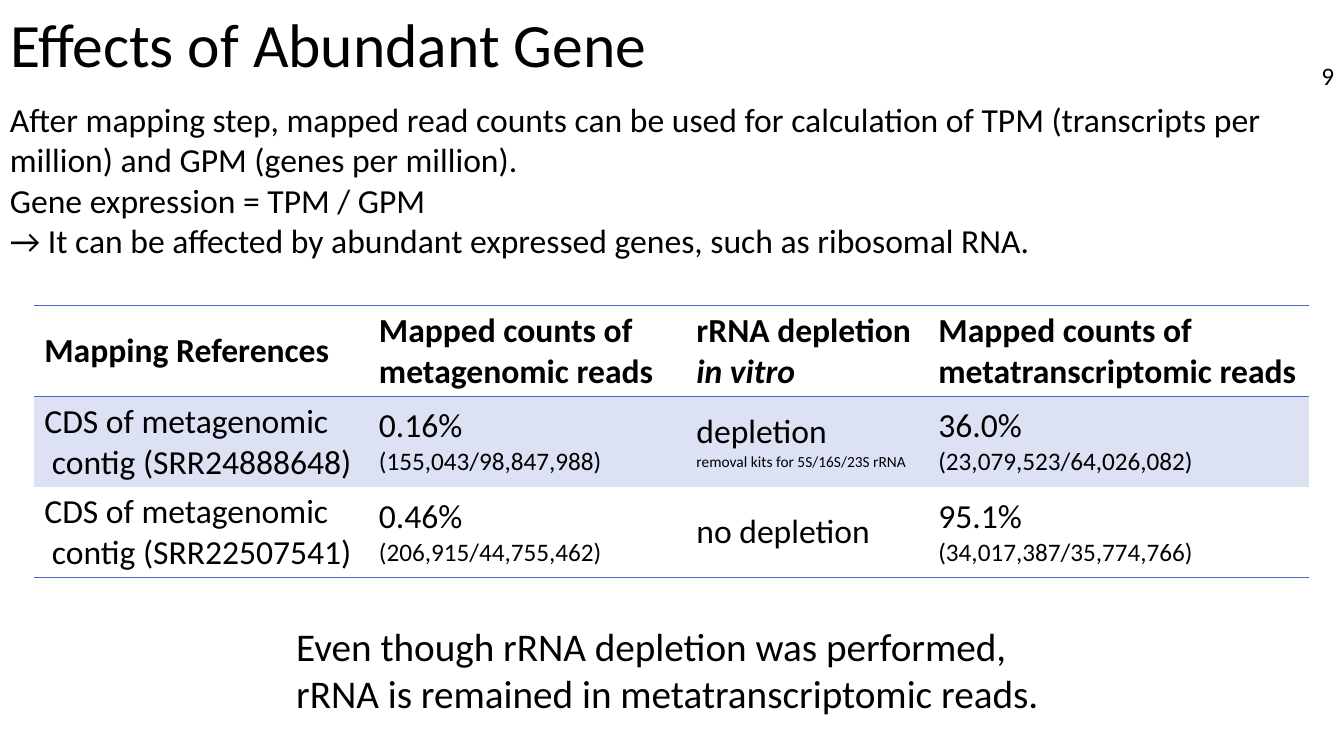
from pptx import Presentation, util as u
from pptx.dml import color
from pptx.enum import text
from pptx.oxml import ns, parse_xml

theme = dict(font="Calibri", ink="000000", rule="4E67C8", band="DCE1F4",
             title=44, close=28, body=24, note=18, tiny=11)

title = "Effects of Abundant Gene"
page = "9"
intro = [
    "After mapping step, mapped read counts can be used for calculation of TPM "
    "(transcripts per million) and GPM (genes per million).",
    "Gene expression = TPM / GPM",
    "→ It can be affected by abundant expressed genes, such as ribosomal RNA.",
]
close = ["Even though rRNA depletion was performed,",
         "rRNA is remained in metatranscriptomic reads."]
head = [["Mapping References"], ["Mapped counts of metagenomic reads"],
        ["rRNA depletion", "in vitro"], ["Mapped counts of metatranscriptomic reads"]]
rows = [
    [["CDS of metagenomic", "contig (SRR24888648)"], ["0.16%", "(155,043/98,847,988)"],
     ["depletion", "removal kits for 5S/16S/23S rRNA"], ["36.0%", "(23,079,523/64,026,082)"]],
    [["CDS of metagenomic", "contig (SRR22507541)"], ["0.46%", "(206,915/44,755,462)"],
     ["no depletion"], ["95.1%", "(34,017,387/35,774,766)"]],
]
widths = [239, 226.8, 172.8, 272.2]
seconds = ["body", "note", "tiny", "note"]
high = 64.8
wide, tall = 960, 540


def rgb(code):
    return color.RGBColor.from_string(code)


def write(frame, lines, sizes, anchor, align=text.PP_ALIGN.LEFT, bold=False):
    frame.word_wrap = True
    frame.vertical_anchor = anchor
    for i, line in enumerate(lines):
        para = frame.paragraphs[0] if i == 0 else frame.add_paragraph()
        para.alignment = align
        run = para.add_run()
        run.text = line
        look = dict(name=theme["font"], size=u.Pt(theme[sizes[min(i, len(sizes) - 1)]]),
                    bold=bold)
        for key, val in look.items():
            setattr(run.font, key, val)
        run.font.color.rgb = rgb(theme["ink"])


def place(shape, box):
    for key, val in zip(("left", "top", "width", "height"), box):
        setattr(shape, key, u.Pt(val))


def edge(cell, side):
    line = parse_xml(
        f'<a:{side} {ns.nsdecls("a")} w="{u.Pt(1)}"><a:solidFill>'
        f'<a:srgbClr val="{theme["rule"]}"/></a:solidFill></a:{side}>')
    cell._tc.get_or_add_tcPr().insert(0, line)


def grid(slide):
    data = [head] + rows
    box = [u.Pt(n) for n in (24.5, 218.2, sum(widths), high * len(data))]
    shape = slide.shapes.add_table(len(data), len(widths), *box)
    table = shape.table
    table.first_row = table.horz_banding = False
    for tag in shape._element.iter(ns.qn("a:tableStyleId")):
        tag.text = "{2D5ABB26-0587-4C30-8999-92F81FD0307C}"
    for col, width in zip(table.columns, widths):
        col.width = u.Pt(width)
    for r, row in enumerate(data):
        table.rows[r].height = u.Pt(high)
        for c, lines in enumerate(row):
            cell = table.cell(r, c)
            sizes = ["body", seconds[c] if r else "body"]
            write(cell.text_frame, lines, sizes, text.MSO_ANCHOR.MIDDLE, bold=r == 0)
            cell.vertical_anchor = text.MSO_ANCHOR.MIDDLE
            if r == 1:
                cell.fill.solid()
                cell.fill.fore_color.rgb = rgb(theme["band"])
            else:
                cell.fill.background()
                edge(cell, "lnB")
            if r == 0:
                edge(cell, "lnT")
            elif c == 0:
                props = cell.text_frame.paragraphs[1]._p.get_or_add_pPr()
                props.set("marL", str(u.Pt(5.4)))
    table.cell(0, 2).text_frame.paragraphs[1].runs[0].font.italic = True


def main():
    deck = Presentation()
    deck.slide_width, deck.slide_height = u.Pt(wide), u.Pt(tall)
    slide = deck.slides.add_slide(deck.slide_layouts[5])
    name = slide.shapes.title
    place(name, (0, 0, wide, 67.7))
    write(name.text_frame, [title], ["title"], text.MSO_ANCHOR.MIDDLE)
    name.text_frame.paragraphs[0].line_spacing = 0.9
    anchor, align = text.MSO_ANCHOR, text.PP_ALIGN
    boxes = [
        ((744, 39.6, 216, 28.8), [page], "note", anchor.MIDDLE, align.RIGHT),
        ((204.5, 440, 551, 75), close, "close", anchor.BOTTOM, align.JUSTIFY),
        ((0, 67, wide, 123.8), intro, "body", anchor.TOP, align.LEFT),
    ]
    for box, lines, size, fix, side in boxes:
        shape = slide.shapes.add_textbox(*[u.Pt(n) for n in box])
        write(shape.text_frame, lines, [size], fix, side)
    grid(slide)
    deck.save("out.pptx")


if __name__ == "__main__":
    main()
